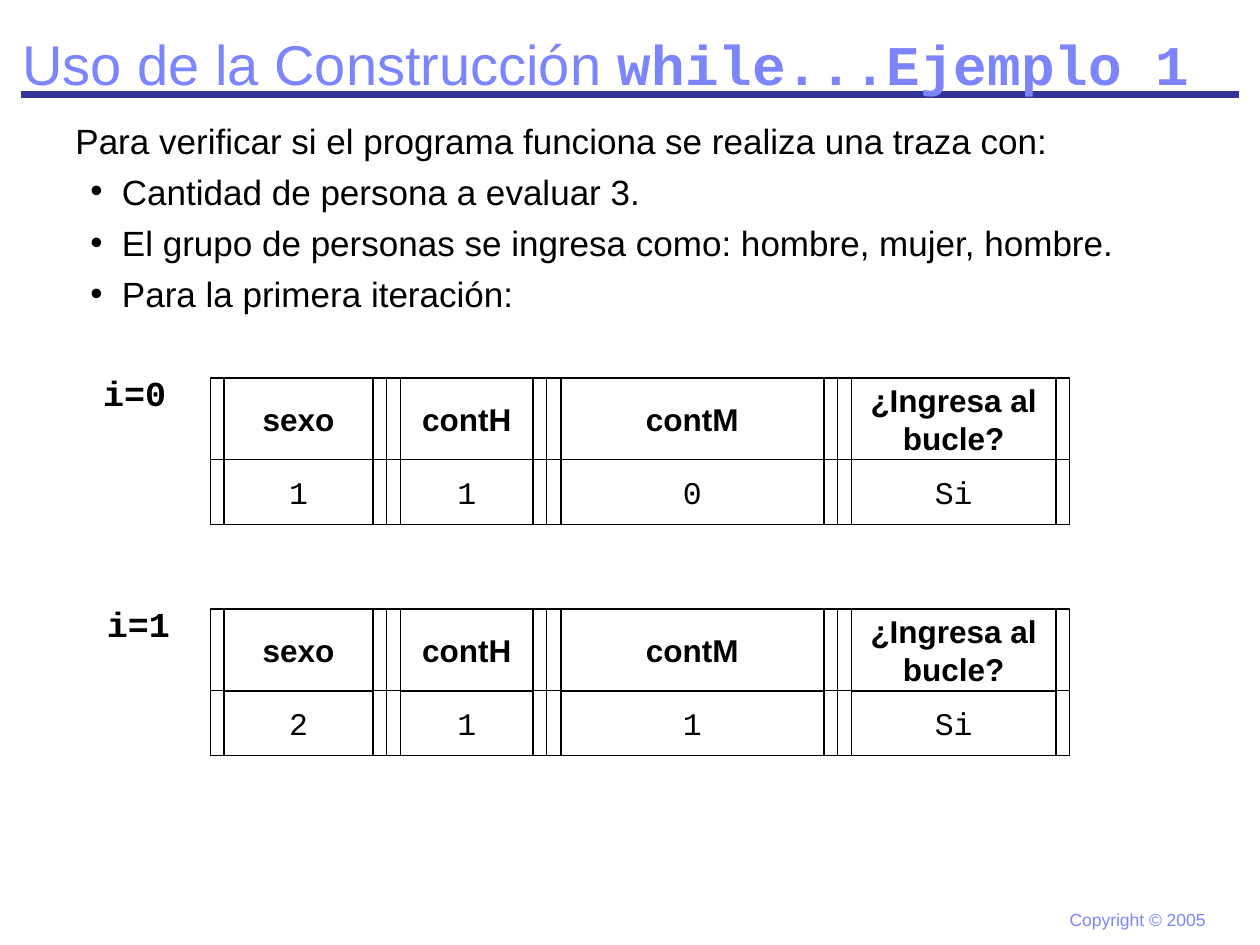
from dataclasses import dataclass
from itertools import accumulate

from lxml.etree import SubElement
from pptx import Presentation
from pptx.dml.color import RGBColor
from pptx.enum.shapes import MSO_CONNECTOR, MSO_SHAPE
from pptx.enum.text import MSO_ANCHOR, PP_ALIGN
from pptx.oxml.ns import qn
from pptx.util import Pt

SANS, MONO = "Arial", "Courier New"
BLACK, LILAC, NAVY = "000000", "7C85FC", "333399"

LEFT, GAP = 120.2, 7.92
WIDTHS = (100.8, 91.5, 166.1, 132.7)
HEIGHTS = (46.6, 37.1)
HEADS = ("sexo", "contH", "contM", "¿Ingresa al bucle?")


@dataclass(frozen=True)
class Box:
    """A place on the slide, in points."""
    x: float
    y: float
    w: float
    h: float

    def sizes(self) -> tuple:
        """Give left, top, width and height as lengths."""
        return Pt(self.x), Pt(self.y), Pt(self.w), Pt(self.h)


@dataclass(frozen=True)
class Font:
    """The look of a run."""
    size: float
    name: str = SANS
    tint: str = BLACK
    bold: bool = False


@dataclass(frozen=True)
class Trace:
    """One pass of the loop: its label and its grid."""
    label: str
    spot: Box
    top: float
    cells: tuple


TRACES = (
    Trace("i=0", Box(51.8, 208.8, 56.2, 31.7), 216, ("1", "1", "0", "Si")),
    Trace("i=1", Box(54, 340.6, 56.2, 31.7), 348.1, ("2", "1", "1", "Si")),
)
INTRO = "Para verificar si el programa funciona se realiza una traza con:"
POINTS = (
    "Cantidad de persona a evaluar 3.",
    "El grupo de personas se ingresa como: hombre, mujer, hombre.",
    "Para la primera iteración:",
)


def color(code: str) -> RGBColor:
    """Turn a hex string into a colour."""
    return RGBColor.from_string(code)


def add_run(para, text: str, font: Font) -> None:
    """Add one styled run to a paragraph."""
    run = para.add_run()
    run.text = text
    run.font.size = Pt(font.size)
    run.font.name = font.name
    run.font.bold = font.bold
    run.font.color.rgb = color(font.tint)


def add_text(slide, box: Box, *runs: tuple, wrap: bool = True):
    """Add a text box whose first paragraph holds the runs."""
    frame = slide.shapes.add_textbox(*box.sizes()).text_frame
    frame.word_wrap = wrap
    for text, font in runs:
        add_run(frame.paragraphs[0], text, font)
    return frame


def add_rule(slide) -> None:
    """Draw the bar under the title."""
    rule = slide.shapes.add_connector(
        MSO_CONNECTOR.STRAIGHT, Pt(12.2), Pt(54), Pt(707.8), Pt(54))
    rule.line.color.rgb = color(NAVY)
    rule.line.width = Pt(4.5)
    SubElement(rule.element.spPr, qn("a:effectLst"))


def add_rect(group, box: Box, width: float):
    """Draw an unfilled outlined rectangle."""
    rect = group.shapes.add_shape(MSO_SHAPE.RECTANGLE, *box.sizes())
    rect.shadow.inherit = False
    rect.fill.background()
    rect.line.color.rgb = color(BLACK)
    rect.line.width = Pt(width)
    return rect


def add_cell(group, box: Box, text: str, font: Font) -> None:
    """Draw a cell as an inner text box within an outer border."""
    inner = Box(box.x + GAP, box.y, box.w - 2 * GAP, box.h)
    frame = add_rect(group, inner, 1).text_frame
    frame.word_wrap = True
    frame.vertical_anchor = MSO_ANCHOR.MIDDLE
    para = frame.paragraphs[0]
    para.alignment = PP_ALIGN.CENTER
    add_run(para, text, font)
    add_rect(group, box, 0.75)


def add_trace(slide, trace: Trace) -> None:
    """Draw the label and the grid of one pass."""
    add_text(slide, trace.spot, (trace.label, Font(20, MONO, bold=True)))
    group = slide.shapes.add_group_shape()
    rows = ((HEADS, Font(18, bold=True)), (trace.cells, Font(18, MONO)))
    lefts = tuple(accumulate(WIDTHS, initial=LEFT))
    tops = accumulate(HEIGHTS, initial=trace.top)
    for (texts, font), y, h in zip(rows, tops, HEIGHTS):
        for text, x, w in zip(texts, lefts, WIDTHS):
            add_cell(group, Box(x, y, w, h), text, font)
    add_rect(group, Box(LEFT, trace.top, sum(WIDTHS), sum(HEIGHTS)), 0.75)


def add_bullet(para) -> None:
    """Give a paragraph a hanging bullet."""
    props = para._p.get_or_add_pPr()
    props.set("marL", str(Pt(26.6)))
    props.set("indent", str(-Pt(18)))
    tint = SubElement(props, qn("a:buClr"))
    SubElement(tint, qn("a:srgbClr")).set("val", BLACK)
    SubElement(props, qn("a:buFont")).set("typeface", SANS)
    SubElement(props, qn("a:buChar")).set("char", "•")


def add_body(slide) -> None:
    """Write the introduction and its bullet points."""
    frame = add_text(slide, Box(36, 69.1, 642.2, 114.5), (INTRO, Font(20)))
    for text in POINTS:
        add_run(frame.add_paragraph(), text, Font(20))
    for para in frame.paragraphs:
        para.line_spacing = 0.8
        para.space_before = Pt(10)
    for para in frame.paragraphs[1:]:
        para.level = 1
        add_bullet(para)


def main() -> None:
    """Build and save the slide."""
    deck = Presentation()
    deck.slide_width, deck.slide_height = Pt(720), Pt(540)
    slide = deck.slides.add_slide(deck.slide_layouts[6])
    add_rule(slide)
    add_text(slide, Box(604.1, 516.2, 92.2, 19.4),
             ("Copyright © 2005", Font(10, tint=LILAC)), wrap=False)
    add_body(slide)
    for trace in TRACES:
        add_trace(slide, trace)
    title = add_text(
        slide, Box(5.8, 12.2, 696.2, 48.2),
        ("Uso de la Construcción ", Font(32, tint=LILAC)),
        ("while...Ejemplo 1", Font(32, MONO, LILAC, True)))
    title.vertical_anchor = MSO_ANCHOR.MIDDLE
    deck.save("out.pptx")


main()
